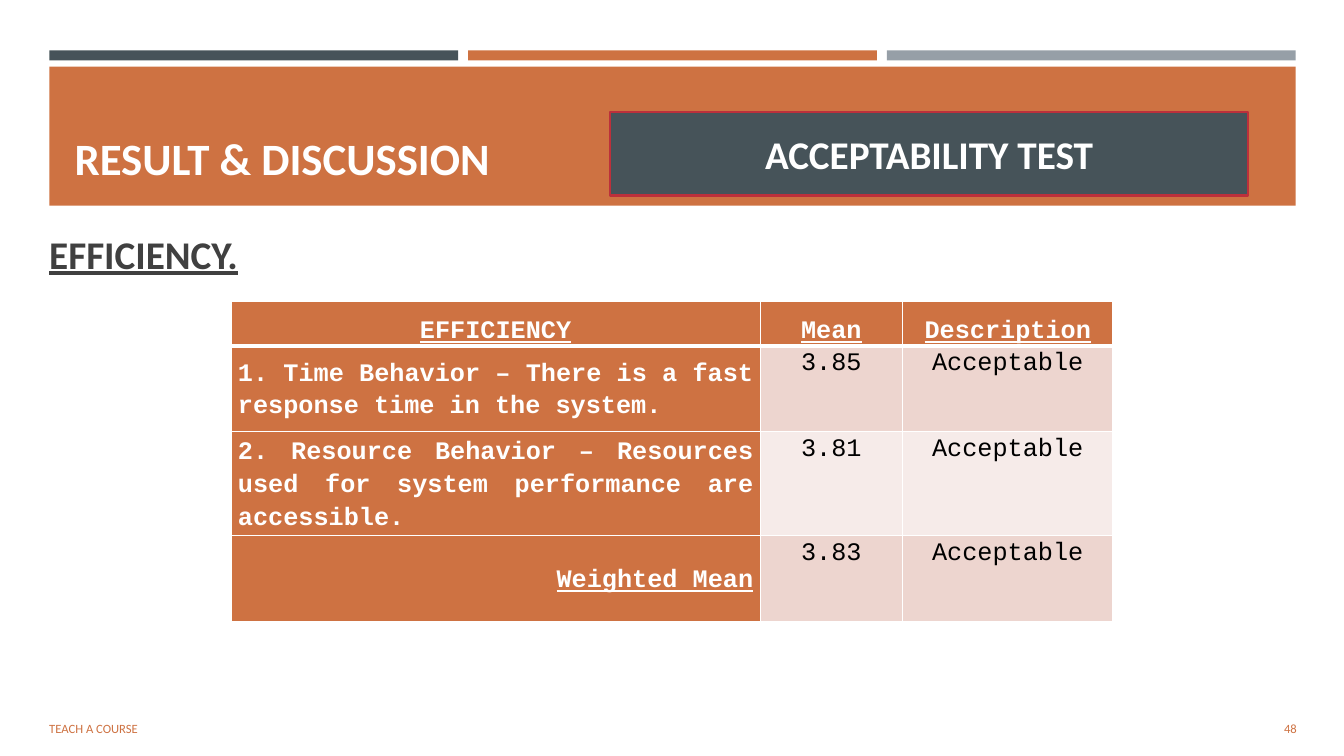
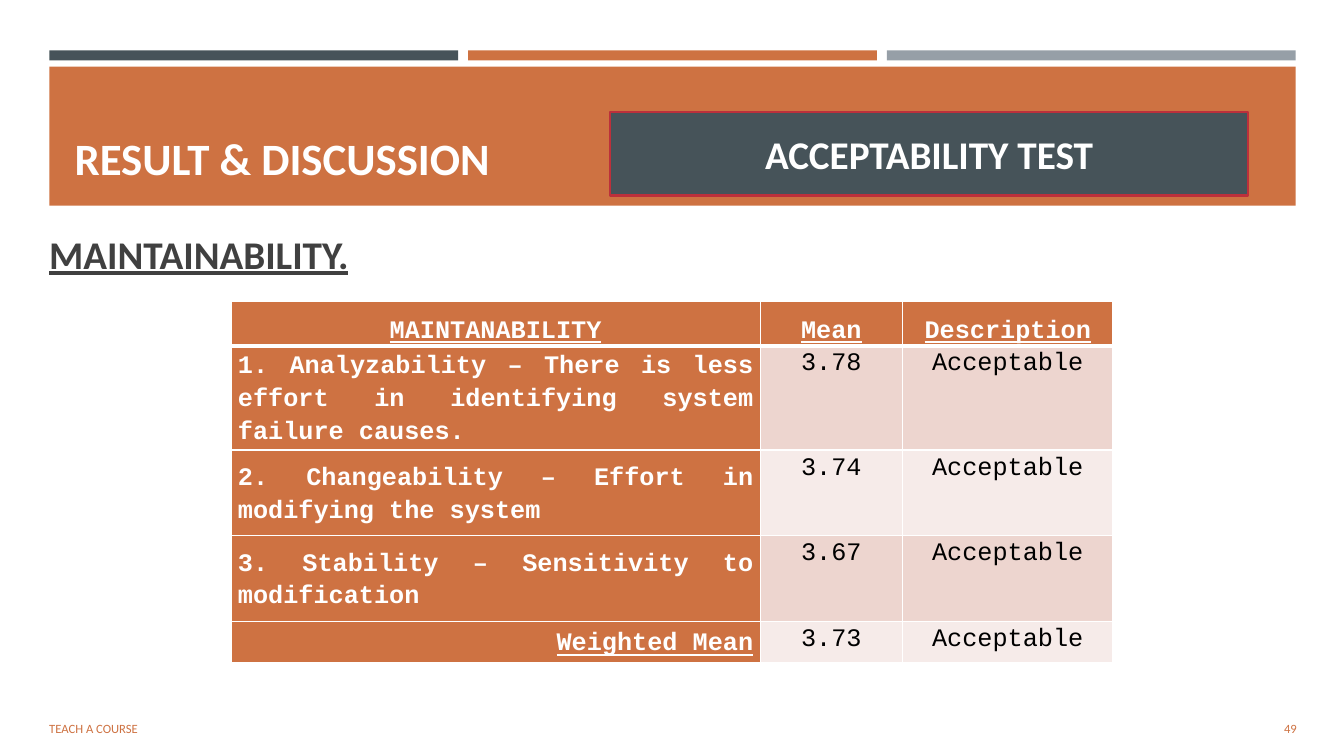
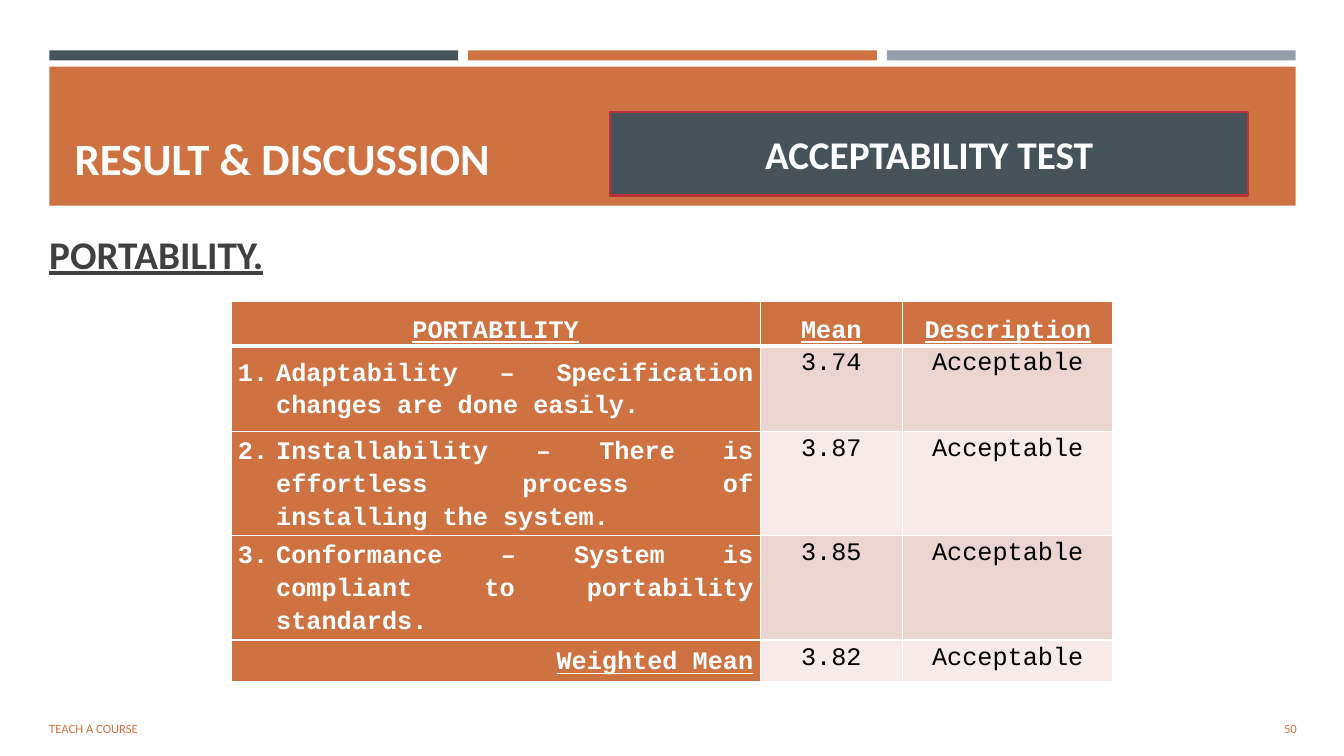
from lxml import etree
from pptx import Presentation
from pptx import util as u
from pptx.dml.color import RGBColor
from pptx.enum import shapes, text
from pptx.oxml import ns

COLORS = {
    "slate": "465359",
    "orange": "CE7242",
    "gray": "969FA7",
    "red": "BC303B",
    "ink": "404040",
    "black": "000000",
    "white": "FFFFFF",
    "odd_row": "EDD5CF",
    "even_row": "F6EBE9",
}
HEADING_FONT = "Calibri"
TABLE_FONT = "Courier New"
MARGIN, CONTENT_WIDTH = 0.49, 12.36
LEFT, CENTER = text.PP_ALIGN.LEFT, text.PP_ALIGN.CENTER
RIGHT, JUSTIFY = text.PP_ALIGN.RIGHT, text.PP_ALIGN.JUSTIFY
TOP, MIDDLE = text.MSO_ANCHOR.TOP, text.MSO_ANCHOR.MIDDLE
BOTTOM = text.MSO_ANCHOR.BOTTOM

TABLE_BOX = (2.29, 2.99, 8.75)
COLUMN_WIDTHS = (5.25, 1.41, 2.09)
HEADER_HEIGHT, CRITERION_HEIGHT = 0.44, 0.85

SLIDES = [
    {
        "number": 48, "heading": "EFFICIENCY.", "criteria_name": "EFFICIENCY",
        "criteria": [
            ("1. Time Behavior – There is a fast response time in the system.", "3.85"),
            ("2. Resource Behavior – Resources used for system performance are accessible.", "3.81"),
        ],
        "mean": "3.83", "mean_height": 0.85, "gap_after": 0, "numbered": False,
    },
    {
        "number": 49, "heading": "MAINTAINABILITY.", "criteria_name": "MAINTANABILITY",
        "criteria": [
            ("1. Analyzability – There is less effort in identifying system failure causes.", "3.78"),
            ("2. Changeability – Effort in modifying the system", "3.74"),
            ("3. Stability – Sensitivity to modification", "3.67"),
        ],
        "mean": "3.73", "mean_height": 0.41, "gap_after": 10, "numbered": False,
    },
    {
        "number": 50, "heading": "PORTABILITY.", "criteria_name": "PORTABILITY",
        "criteria": [
            ("Adaptability – Specification changes are done easily.", "3.74"),
            ("Installability – There is effortless process of installing the system.", "3.87"),
            ("Conformance – System is compliant to portability standards.", "3.85"),
        ],
        "mean": "3.82", "mean_height": 0.41, "gap_after": 10, "numbered": True,
    },
]


def rgb(name):
    return RGBColor.from_string(COLORS[name])


def inches(box):
    return [u.Inches(length) for length in box]


def write(frame, words, size, color, font=HEADING_FONT, bold=False,
          underline=False, align=LEFT, before=0, after=0):
    paragraph = frame.paragraphs[0]
    paragraph.text = words
    paragraph.alignment = align
    paragraph.space_before = u.Pt(before)
    paragraph.space_after = u.Pt(after)
    style = paragraph.runs[0].font
    style.name, style.size = font, u.Pt(size)
    style.bold, style.underline = bold, underline
    style.color.rgb = rgb(color)
    return paragraph


def add_bar(slide, box, fill):
    bar = slide.shapes.add_shape(shapes.MSO_SHAPE.RECTANGLE, *inches(box))
    bar.shadow.inherit = False
    bar.fill.solid()
    bar.fill.fore_color.rgb = rgb(fill)
    bar.line.fill.background()
    return bar


def add_label(slide, box, words, size, color, **style):
    frame = slide.shapes.add_textbox(*inches(box)).text_frame
    frame.word_wrap = True
    frame.vertical_anchor = MIDDLE
    write(frame, words, size, color, **style)


def add_bands(slide, left, top, width):
    gap = 0.1
    stripe_width = (width - 2 * gap) / 3
    for index, fill in enumerate(("slate", "orange", "gray")):
        stripe_left = left + index * (stripe_width + gap)
        add_bar(slide, (stripe_left, top, stripe_width, 0.1), fill)
    add_bar(slide, (left, top + 0.16, width, 1.38), "orange")


def place_title(slide, box, words):
    title = slide.shapes.title
    title.left, title.top, title.width, title.height = inches(box)
    title.element.getparent().append(title.element)
    frame = title.text_frame
    frame.word_wrap = True
    frame.auto_size = text.MSO_AUTO_SIZE.NONE
    frame.vertical_anchor = BOTTOM
    write(frame, words, 32, "white", bold=True)


def add_test_panel(slide, box, words):
    panel = add_bar(slide, box, "slate")
    panel.line.color.rgb = rgb("red")
    panel.line.width = u.Pt(1.75)
    frame = panel.text_frame
    frame.word_wrap = True
    frame.margin_top = frame.margin_bottom = 0
    frame.vertical_anchor = MIDDLE
    write(frame, words, 28, "white", bold=True, align=CENTER, after=6)


def add_footer(slide, left, top, width, number):
    add_label(slide, (left, top, 7.46, 0.4), "TEACH A COURSE", 9, "orange", after=6)
    add_label(slide, (left + width - 1.15, top, 1.15, 0.4), str(number), 9,
              "orange", align=RIGHT, after=6)


def set_borders(cell, widths):
    properties = cell._tc.get_or_add_tcPr()
    for side, width in zip("LRTB", widths):
        border = etree.SubElement(properties, ns.qn(f"a:ln{side}"), w=str(u.Pt(width)))
        fill = etree.SubElement(border, ns.qn("a:solidFill"))
        etree.SubElement(fill, ns.qn("a:srgbClr"), val=COLORS["white"])


def number_paragraph(paragraph, start):
    indent = u.Inches(0.38)
    properties = paragraph._p.get_or_add_pPr()
    properties.set("marL", str(indent))
    properties.set("indent", str(-indent))
    etree.SubElement(properties, ns.qn("a:buAutoNum"), type="arabicPeriod", startAt=str(start))


def fill_cell(cell, words, fill, color, anchor, borders, **style):
    set_borders(cell, borders)
    cell.fill.solid()
    cell.fill.fore_color.rgb = rgb(fill)
    cell.margin_left = cell.margin_right = u.Inches(0.07)
    cell.margin_top = cell.margin_bottom = 0
    cell.vertical_anchor = anchor
    paragraph = write(cell.text_frame, words, 18, color, font=TABLE_FONT, **style)
    paragraph.line_spacing = 1.15
    return paragraph


def add_score_table(slide, left, top, width, content):
    criteria = content["criteria"]
    heights = [HEADER_HEIGHT] + [CRITERION_HEIGHT] * len(criteria) + [content["mean_height"]]
    box = inches((left, top, width, sum(heights)))
    table = slide.shapes.add_table(len(heights), len(COLUMN_WIDTHS), *box).table
    for column, column_width in zip(table.columns, COLUMN_WIDTHS):
        column.width = u.Inches(column_width)
    for row, height in zip(table.rows, heights):
        row.height = u.Inches(height)

    for index, heading in enumerate((content["criteria_name"], "Mean", "Description")):
        fill_cell(table.cell(0, index), heading, "orange", "white", BOTTOM, (1, 1, 1, 3),
                  bold=True, underline=True, align=CENTER)

    for row, (label, score) in enumerate(criteria + [("Weighted Mean", content["mean"])], 1):
        is_mean = row > len(criteria)
        borders = (1, 1, 3 if row == 1 else 1, 1)
        paragraph = fill_cell(table.cell(row, 0), label, "orange", "white", MIDDLE, borders,
                              bold=True, underline=is_mean,
                              align=RIGHT if is_mean else JUSTIFY,
                              after=0 if is_mean else content["gap_after"])
        if content["numbered"] and not is_mean:
            number_paragraph(paragraph, row)
        shade = "odd_row" if row % 2 else "even_row"
        for column, value in enumerate((score, "Acceptable"), 1):
            fill_cell(table.cell(row, column), value, shade, "black", TOP, borders, align=CENTER)


def add_result_slide(deck, content):
    slide = deck.slides.add_slide(deck.slide_layouts[5])
    add_bands(slide, MARGIN, 0.5, CONTENT_WIDTH)
    add_footer(slide, MARGIN - 0.1, 7.03, CONTENT_WIDTH + 0.21, content["number"])
    place_title(slide, (0.64, 0.8, 12.06, 1.08), "RESULT & DISCUSSION")
    add_label(slide, (MARGIN - 0.1, 2.04, 7.33, 0.95), content["heading"], 28, "ink",
              bold=True, underline=True, before=5.6, after=6)
    add_test_panel(slide, (6.05, 1.11, 6.33, 0.83), "ACCEPTABILITY TEST")
    add_score_table(slide, *TABLE_BOX, content)


def main():
    deck = Presentation()
    deck.slide_width, deck.slide_height = inches((13.33, 7.5))
    for content in SLIDES:
        add_result_slide(deck, content)
    deck.save("out.pptx")


if __name__ == "__main__":
    main()
